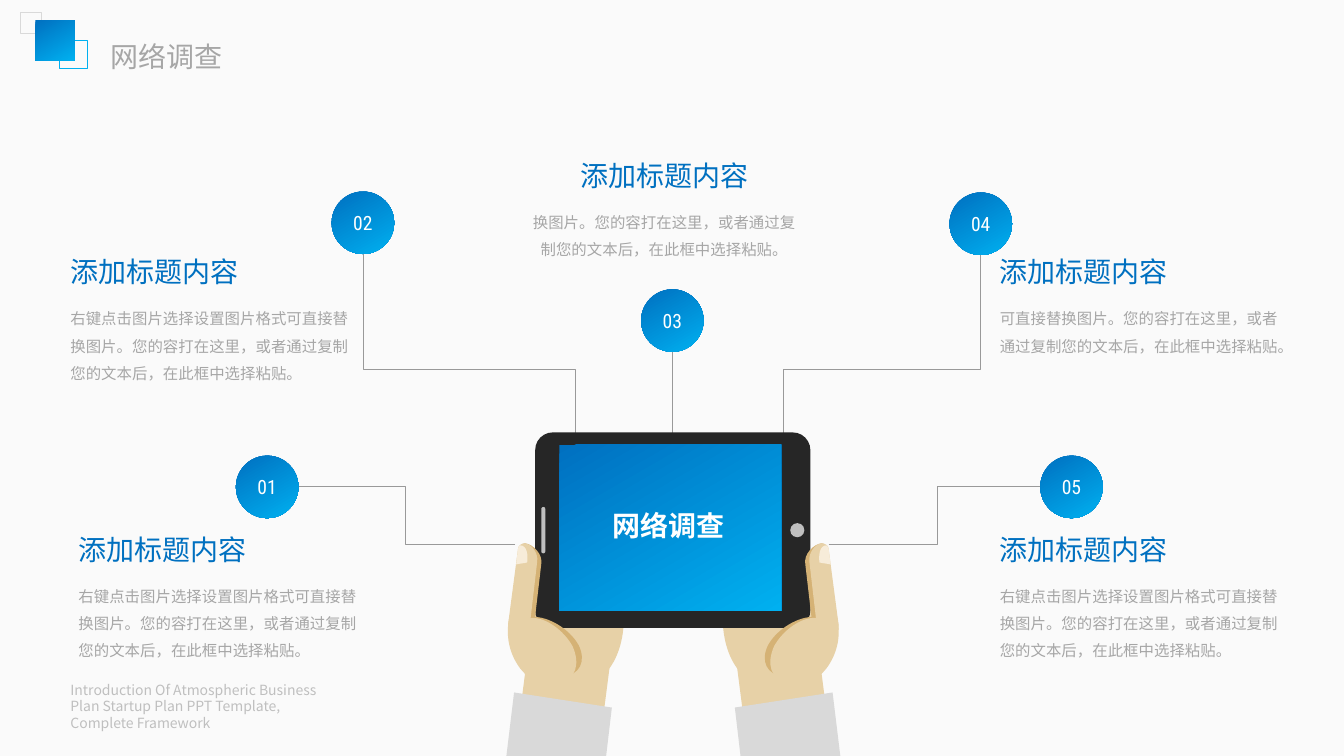
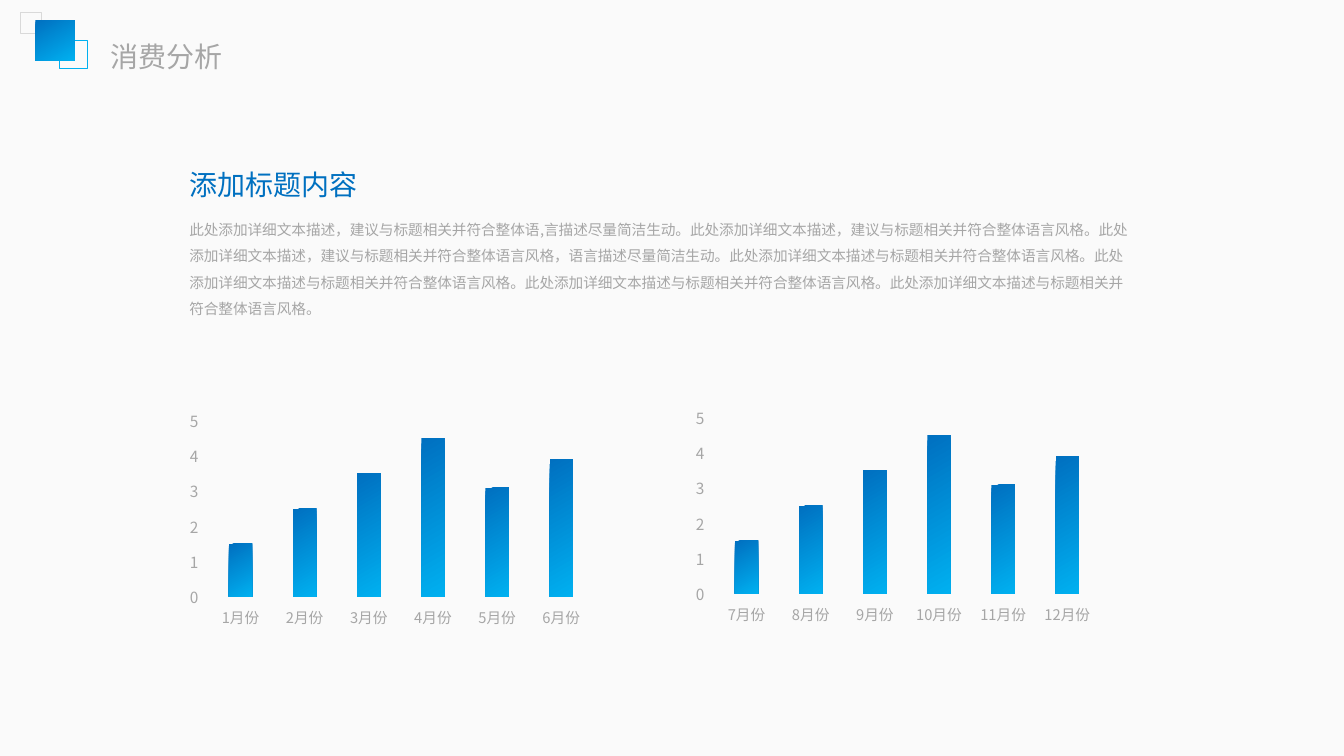
from lxml import etree
from pptx import Presentation
from pptx.chart.data import CategoryChartData
from pptx.dml.color import RGBColor
from pptx.enum.chart import XL_CHART_TYPE as ChartType
from pptx.enum.shapes import MSO_CONNECTOR as Connector, MSO_SHAPE as Shape
from pptx.enum.text import MSO_ANCHOR as Anchor, PP_ALIGN as Align
from pptx.oxml.ns import qn
from pptx.util import Inches, Pt

# Shared style
PAPER, WHITE = "FAFAFA", "FFFFFF"
BLUE, SKY = "0070C0", "00B0F0"
GRADIENT = (BLUE, SKY)
GREY, PALE, SILVER, LINE = "A6A6A6", "D9D9D9", "BFBFBF", "999999"
DEVICE, SKIN, SKIN_SHADOW, NAIL = "262626", "E7D1A7", "D5B275", "F7ECD9"
FONT, FOOTER_FONT, NUMBER_FONT = "Noto Sans CJK SC", "Noto Sans CJK JP", "Roboto Condensed"
HEADING = "添加标题内容"
NODE = 0.62

# Hand outlines in a box 1.3 wide: a start, then lines (x, y) and cubic curves
PALM = [(0.32, 0.39), (0.05, 0.59, 0, 0.97, 0.2, 1.24), (0.41, 1.5, 0.74, 1.53, 1, 1.33),
        (1.27, 1.12, 1.3, 0.55, 1.1, 0.28), (0.89, 0.01, 0.58, 0.18, 0.32, 0.39)]
WRIST = [(0.28, 1.05), (0.14, 2.14), (0.97, 2.14), (1.09, 1.21)]
SLEEVE = [(0.14, 1.48), (0.06, 2.14), (1.05, 2.14), (1.11, 1.63)]
BASE_SHADOW = [(0.31, 0.73), (0.14, 0.74, 0.11, 0.9, 0.2, 1.07), (0.28, 1.23, 0.45, 1.33, 0.62, 1.32),
               (0.79, 1.31, 0.86, 1.17, 0.78, 1.01), (0.69, 0.85, 0.48, 0.72, 0.31, 0.73)]
THUMB_SHADOW = [(0.25, 0), (0.21, 0, 0.2, 0.03, 0.2, 0.07), (0.11, 0.74),
                (0.1, 0.81, 0.14, 0.91, 0.2, 0.92), (0.26, 0.93, 0.33, 0.88, 0.34, 0.81),
                (0.41, 0.21), (0.43, 0.11, 0.33, 0.01, 0.25, 0)]
THUMB = [(0.25, 0), (0.22, 0, 0.18, 0.02, 0.18, 0.05), (0.08, 0.81),
         (0.08, 0.87, 0.11, 0.96, 0.17, 0.96), (0.22, 0.97, 0.29, 0.93, 0.29, 0.87),
         (0.37, 0.18), (0.38, 0.1, 0.32, 0.01, 0.25, 0)]
THUMB_BASE = [(0.3, 0.74), (0.15, 0.76, 0.09, 0.92, 0.17, 1.09), (0.26, 1.26, 0.45, 1.39, 0.6, 1.37),
              (0.75, 1.35, 0.8, 1.2, 0.72, 1.02), (0.63, 0.86, 0.45, 0.73, 0.3, 0.74)]
THUMB_NAIL = [(0.2, 0.02), (0.19, 0.03, 0.18, 0.04, 0.18, 0.05), (0.16, 0.21),
              (0.2, 0.2, 0.23, 0.2, 0.27, 0.19), (0.28, 0.12, 0.27, 0.02, 0.2, 0.02)]
FINGERS = [(WRIST, SKIN), (SLEEVE, PALE), (BASE_SHADOW, SKIN_SHADOW), (THUMB_SHADOW, SKIN_SHADOW),
           (THUMB, SKIN), (THUMB_BASE, SKIN), (THUMB_NAIL, NAIL)]


def color(value):
    return RGBColor.from_string(value)


def paint(fill, value):
    """Fill with nothing, one colour or a pair of gradient colours."""
    if value is None:
        fill.background()
    elif isinstance(value, tuple):
        fill.gradient()
        fill.gradient_angle = 300
        for stop, stop_color in zip(fill.gradient_stops, value):
            stop.color.rgb = color(stop_color)
    else:
        fill.solid()
        fill.fore_color.rgb = color(value)


def finish(shape, fill=None, line=None):
    shape.shadow.inherit = False
    paint(shape.fill, fill)
    if line:
        shape.line.color.rgb = color(line)
        shape.line.width = Pt(0.75)
    else:
        shape.line.fill.background()
    return shape


def add_shape(slide, kind, box, fill=None, line=None):
    return finish(slide.shapes.add_shape(kind, *map(Inches, box)), fill, line)


def set_font(font, size, value, name=FONT, bold=False):
    font.size, font.name, font.bold = Pt(size), name, bold
    font.color.rgb = color(value)


def write(frame, text, size=20, value=GREY, name=FONT, bold=False, align=Align.LEFT,
          leading=None, before=0, after=0):
    """Write one paragraph, reusing the empty first one; leading is in points."""
    paragraph = frame.paragraphs[0]
    if paragraph.runs:
        paragraph = frame.add_paragraph()
    paragraph.alignment = align
    paragraph.space_before, paragraph.space_after = Pt(before), Pt(after)
    if leading:
        paragraph.line_spacing = Pt(leading)
    run = paragraph.add_run()
    run.text = text
    set_font(run.font, size, value, name, bold)
    east_asian = etree.SubElement(run.font._element, qn("a:ea"))
    east_asian.set("typeface", name)


def add_frame(slide, box, anchor=Anchor.TOP):
    frame = slide.shapes.add_textbox(*map(Inches, box)).text_frame
    frame.word_wrap = True
    frame.vertical_anchor = anchor
    return frame


def add_line(slide, kind, start, end):
    connector = slide.shapes.add_connector(kind, *map(Inches, (*start, *end)))
    connector.line.color.rgb = color(LINE)
    connector.line.width = Pt(0.75)
    etree.SubElement(connector._element.spPr, qn("a:effectLst"))
    return connector


def add_rising_elbow(slide, start, end):
    """Elbow that leaves upwards: a sideways elbow turned by 270 degrees."""
    (x1, y1), (x2, y2) = start, end
    middle_x, middle_y, reach = (x1 + x2) / 2, (y1 + y2) / 2, (y1 - y2) / 2
    connector = add_line(slide, Connector.ELBOW, (middle_x - reach, middle_y + x1 - middle_x),
                         (middle_x + reach, middle_y + x2 - middle_x))
    connector._element.spPr.find(qn("a:xfrm")).set("rot", str(270 * 60000))


def add_outline(slide, outline, place, fill):
    """Draw lines through every point, then turn each curve's three into one cubic."""
    points = [tuple(map(Inches, place(*segment[i:i + 2])))
              for segment in outline for i in range(0, len(segment), 2)]
    builder = slide.shapes.build_freeform(*points[0])
    builder.add_line_segments(points[1:], close=True)
    shape = finish(builder.convert_to_shape(), fill)
    lines = iter(list(shape._element.iter(qn("a:lnTo"))))
    for segment in outline[1:]:
        line = next(lines)
        if len(segment) == 6:
            line.addprevious(curve := etree.Element(qn("a:cubicBezTo")))
            for part in (line, next(lines), next(lines)):
                curve.append(part[0])
                part.getparent().remove(part)


def add_base(presentation, title):
    """Blank slide with background, corner squares and title."""
    slide = presentation.slides.add_slide(presentation.slide_layouts[6])
    paint(slide.background.fill, PAPER)
    add_shape(slide, Shape.RECTANGLE, (0.59, 0.4, 0.28, 0.28), line=SKY)
    add_shape(slide, Shape.RECTANGLE, (0.2, 0.12, 0.21, 0.21), line=PALE)
    add_shape(slide, Shape.RECTANGLE, (0.35, 0.2, 0.39, 0.4), GRADIENT)
    write(add_frame(slide, (1, 0.35, 1.97, 0.41)), title, leading=23.5)
    return slide


def add_node(slide, number, left, top):
    node = add_shape(slide, Shape.OVAL, (left, top, NODE, NODE), GRADIENT)
    node.text_frame.vertical_anchor = Anchor.MIDDLE
    write(node.text_frame, number, 14, WHITE, NUMBER_FONT, align=Align.CENTER)


def add_item(slide, box, body, align=Align.LEFT):
    frame = add_frame(slide, box)
    write(frame, HEADING, 20, BLUE, align=align, leading=24, after=6)
    write(frame, body, 11, align=align, leading=19.6, before=2.6, after=12)


def add_device(slide, left, top, label):
    """Tablet held by two mirrored hands."""
    hand_left, hand_right, hand_top = left - 0.35, left + 3.09, top + 1.1
    sides = (lambda x, y: (hand_left + x, hand_top + y),
             lambda x, y: (hand_right - x, hand_top + y))
    for place in sides:
        add_outline(slide, PALM, place, SKIN)
    # Tablet
    case = add_shape(slide, Shape.ROUNDED_RECTANGLE, (left, top, 2.73, 1.94), DEVICE)
    case.adjustments[0] = 0.09
    speaker = add_shape(slide, Shape.ROUNDED_RECTANGLE, (left + 0.06, top + 0.74, 0.04, 0.46), SILVER)
    speaker.adjustments[0] = 0.5
    add_shape(slide, Shape.OVAL, (left + 2.53, top + 0.9, 0.14, 0.14), SILVER)
    # Thumbs and sleeves
    for place in sides:
        for outline, fill in FINGERS:
            add_outline(slide, outline, place, fill)
    # Screen
    add_shape(slide, Shape.RECTANGLE, (left + 0.24, top + 0.12, 2.2, 1.65), GRADIENT)
    write(add_frame(slide, (left + 0.25, top + 0.71, 2.14, 0.44)), label, 20, WHITE, bold=True,
          align=Align.CENTER, leading=24)


def build_survey(presentation):
    slide = add_base(presentation, "网络调查")
    # Footer
    footer = add_frame(slide, (0.6, 6.8, 3.15, 0.41), Anchor.MIDDLE)
    for text in ("Introduction Of Atmospheric Business", "Plan Startup Plan PPT Template,",
                 "Complete Framework"):
        write(footer, text, 10, SILVER, FOOTER_FONT, leading=11.8)
    # Connectors and numbered nodes
    add_rising_elbow(slide, (5.71, 4.83), (3.61, 2.51))
    add_rising_elbow(slide, (7.77, 4.83), (9.73, 2.51))
    add_line(slide, Connector.STRAIGHT, (6.67, 3.49), (6.67, 5.15))
    add_line(slide, Connector.ELBOW, (8.22, 5.4), (10.39, 4.83))
    add_line(slide, Connector.ELBOW, (5.11, 5.4), (2.94, 4.83))
    for number, left, top in (("01", 2.34, 4.52), ("02", 3.29, 1.9), ("03", 6.36, 2.87),
                              ("04", 9.42, 1.91), ("05", 10.32, 4.52)):
        add_node(slide, number, left, top)
    # Descriptions
    ending = "换图片。您的容打在这里，或者通过复制您的文本后，在此框中选择粘贴。"
    full = "右键点击图片选择设置图片格式可直接替" + ending
    for left, top, body in ((0.68, 5.23, full), (0.6, 2.48, full),
                            (9.82, 2.48, "可直接替" + ending), (9.82, 5.23, full)):
        add_item(slide, (left, top, 2.99, 1.5), body)
    add_item(slide, (5.17, 1.52, 2.84, 1.55), ending, Align.CENTER)
    add_device(slide, 5.31, 4.29, "网络调查")


def add_month_chart(slide, left, top, first_month):
    data = CategoryChartData()
    data.categories = [f"{month}月份" for month in range(first_month, first_month + 6)]
    data.add_series("Series 1", (1.5, 2.5, 3.5, 4.5, 3.1, 3.9))
    box = map(Inches, (left, top, 4.17, 2.25))
    chart = slide.shapes.add_chart(ChartType.COLUMN_CLUSTERED, *box, data).chart
    chart.has_legend = chart.has_title = False
    set_font(chart.font, 10, "000000", "Calibri")
    plot = chart.plots[0]
    plot.gap_width, plot.overlap, plot.vary_by_categories = 175, -27, False
    paint(plot.series[0].format.fill, GRADIENT)
    for axis, size in ((chart.category_axis, 10.5), (chart.value_axis, 11)):
        axis.has_major_gridlines = False
        axis.format.line.fill.background()
        set_font(axis.tick_labels.font, size, GREY)
    value_axis = chart.value_axis
    value_axis.minimum_scale, value_axis.maximum_scale, value_axis.major_unit = 0, 5, 1


def build_analysis(presentation):
    slide = add_base(presentation, "消费分析")
    # Introduction
    write(add_frame(slide, (1.78, 1.61, 3.24, 0.44)), HEADING, 20, BLUE, leading=24)
    start, style = "此处添加详细文本描述", "与标题相关并符合整体语言风格"
    body = (f"{start}，建议与标题相关并符合整体语,言描述尽量简洁生动。{start}，建议{style}。"
            f"{start}，建议{style}，语言描述尽量简洁生动。" + f"{start}{style}。" * 4)
    write(add_frame(slide, (1.78, 2.05, 9.53, 1.16)), body, 10.5, leading=19)
    # Half-year charts
    add_month_chart(slide, 1.8, 4.02, 1)
    add_month_chart(slide, 6.82, 3.99, 7)


def main():
    presentation = Presentation()
    presentation.slide_width, presentation.slide_height = Inches(40 / 3), Inches(7.5)
    build_survey(presentation)
    build_analysis(presentation)
    presentation.save("out.pptx")


if __name__ == "__main__":
    main()
